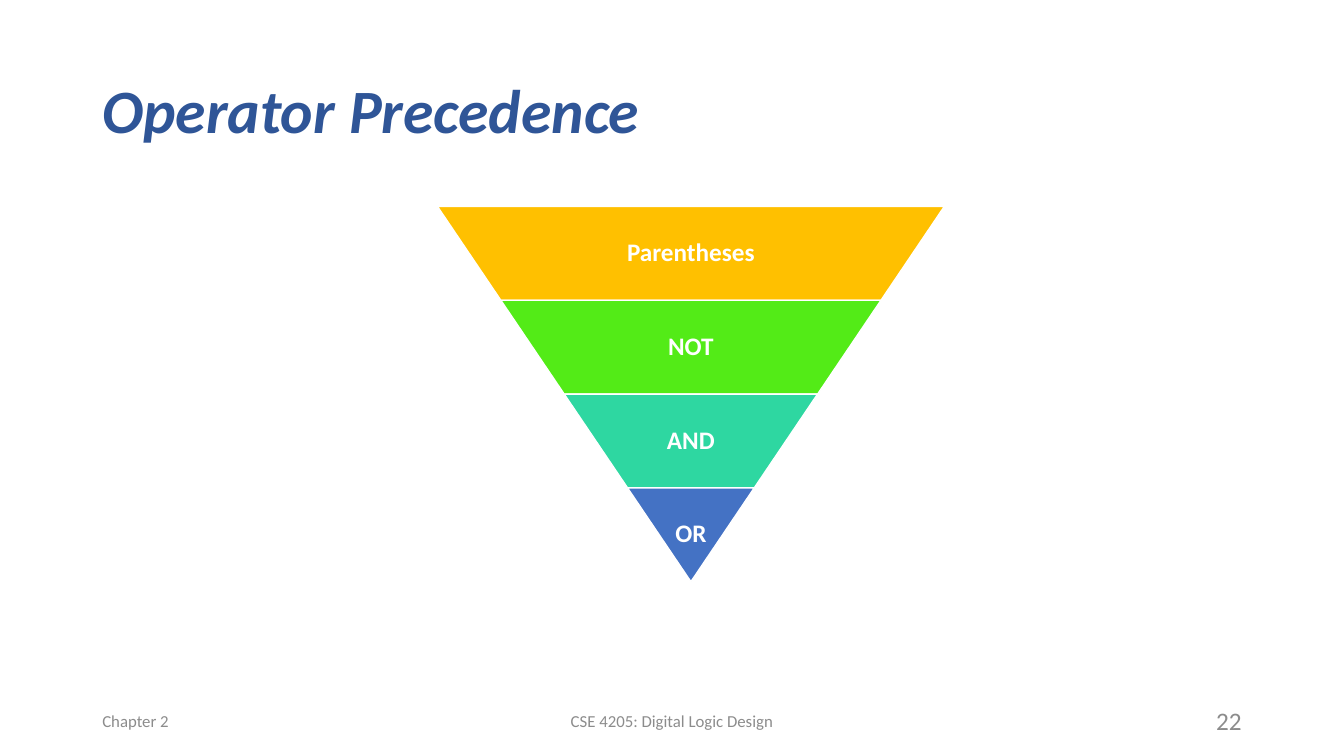
from pptx import Presentation
from pptx.dml.color import RGBColor
from pptx.enum.shapes import MSO_SHAPE
from pptx.enum.text import MSO_ANCHOR, PP_ALIGN
from pptx.util import Pt

WHITE = RGBColor(0xFF, 0xFF, 0xFF)
NAVY = RGBColor(0x2F, 0x55, 0x97)
GRAY = RGBColor(0x8C, 0x8C, 0x8C)
GOLD = RGBColor(0xFF, 0xC0, 0x00)
LIME = RGBColor(0x53, 0xEB, 0x17)
TEAL = RGBColor(0x2E, 0xD7, 0xA1)
BLUE = RGBColor(0x44, 0x72, 0xC4)

LEVELS = [("Parentheses", GOLD), ("NOT", LIME), ("AND", TEAL), ("OR", BLUE)]


def add_text(slide, box, text, size, color, align=PP_ALIGN.LEFT):
    label = slide.shapes.add_textbox(*map(Pt, box))
    frame = label.text_frame
    frame.word_wrap = True
    frame.vertical_anchor = MSO_ANCHOR.MIDDLE
    frame.text = text
    para = frame.paragraphs[0]
    para.alignment = align
    font = para.runs[0].font
    font.name, font.size = "Calibri", Pt(size)
    font.color.rgb = color
    return frame


def add_title(slide, box, text):
    para = add_text(slide, box, text, 44, NAVY).paragraphs[0]
    para.line_spacing = 0.9
    font = para.runs[0].font
    font.bold = font.italic = True


def add_funnel(slide, box, levels):
    left, top, width, height = box
    count = len(levels)
    step = height / count
    inset = width / 2 / count  # each side narrows by this much per level
    for i, (name, color) in enumerate(levels):
        x, y, wide = left + i * inset, top + i * step, width - 2 * i * inset

        # Coloured band
        band = slide.shapes.add_shape(
            MSO_SHAPE.TRAPEZOID, Pt(x), Pt(y), Pt(wide), Pt(step))
        band.adjustments[0] = inset / min(wide, step)
        band.rotation = 180
        band.shadow.inherit = False
        band.fill.solid()
        band.fill.fore_color.rgb = color
        band.line.color.rgb = WHITE
        band.line.width = Pt(1)

        # Upright label, narrower than its band except at the tip
        span = wide if i == count - 1 else wide * 0.65
        frame = add_text(slide, (x + (wide - span) / 2, y, span, step),
                         name, 18, WHITE, PP_ALIGN.CENTER)
        frame.margin_left = frame.margin_right = Pt(2)
        frame.margin_top = frame.margin_bottom = Pt(2)
        para = frame.paragraphs[0]
        para.line_spacing = 0.9
        para.runs[0].font.bold = True


def add_footer(slide, box, chapter, course, number):
    left, top, width, height = box
    side, mid = 216, 324
    add_text(slide, (left, top, side, height), chapter, 12, GRAY)
    add_text(slide, (left + (width - mid) / 2, top, mid, height),
             course, 12, GRAY, PP_ALIGN.CENTER)
    add_text(slide, (left + width - side, top, side, height),
             number, 18, GRAY, PP_ALIGN.RIGHT)


def main():
    deck = Presentation()
    deck.slide_width, deck.slide_height = Pt(960), Pt(540)
    slide = deck.slides.add_slide(deck.slide_layouts[6])
    add_title(slide, (66, 28.75, 828, 104.4), "Operator Precedence")
    add_footer(slide, (66, 500.5, 828, 28.75),
               "Chapter 2", "CSE 4205: Digital Logic Design", "22")
    add_funnel(slide, (312.5, 147.5, 362, 268), LEVELS)
    deck.save("out.pptx")


if __name__ == "__main__":
    main()
